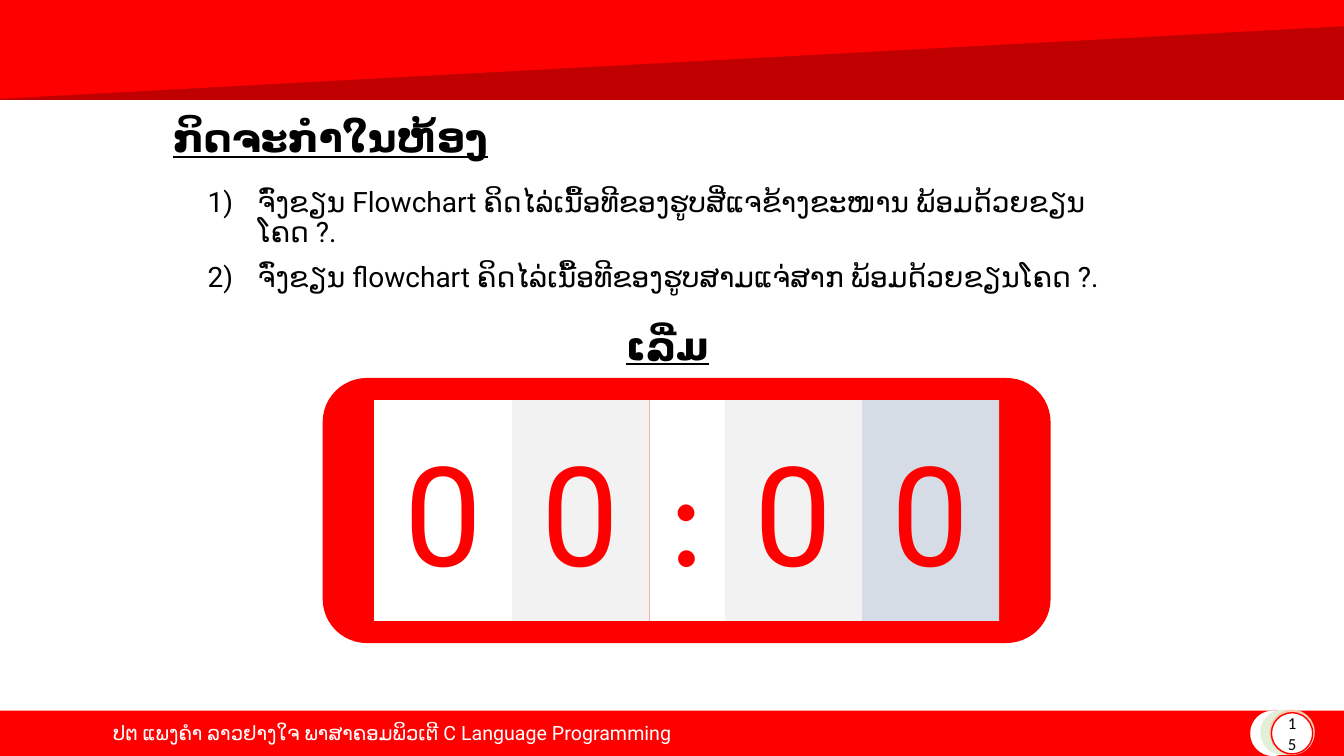
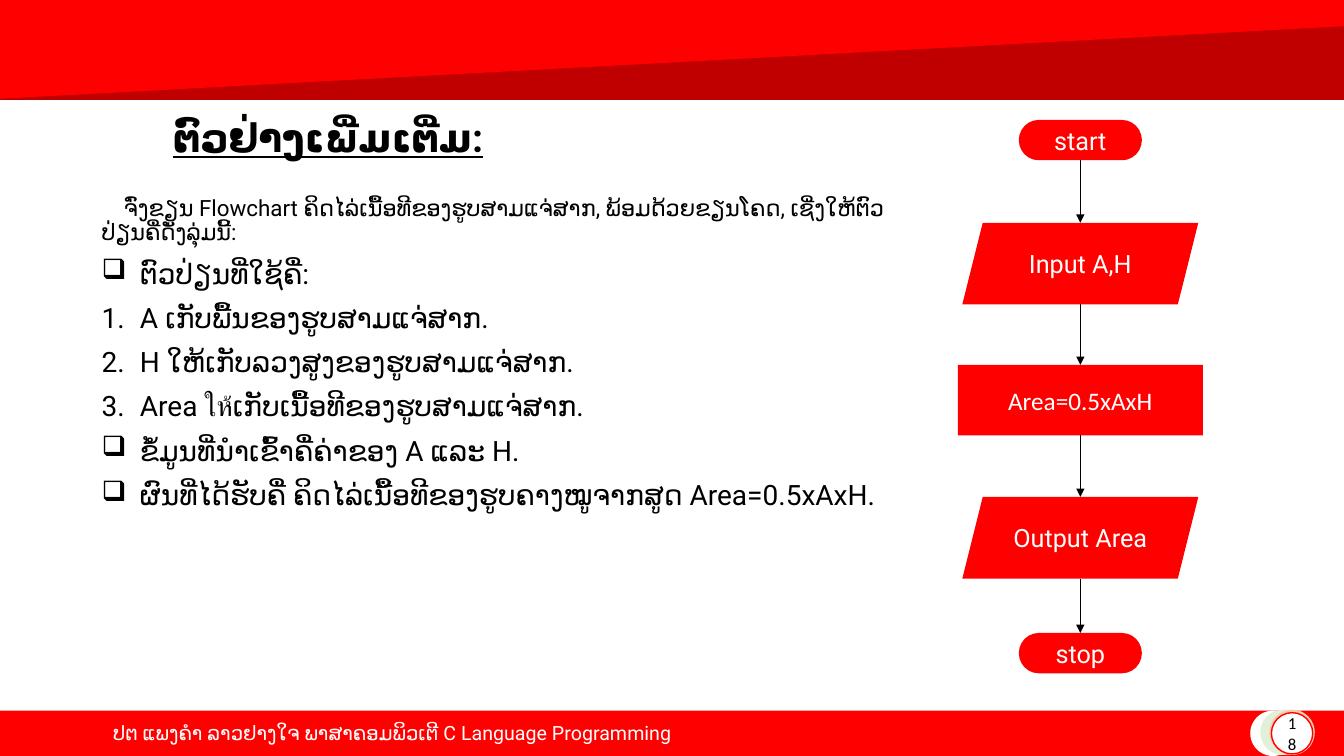
import pptx
import pptx.util
import pptx.dml.color
import pptx.enum.shapes
import pptx.enum.text
import pptx.oxml.ns
import lxml.etree

PX = 9144
W, H = 1333, 750
COLORS = {
    "red": "FF0000",
    "dark": "C00000",
    "white": "FFFFFF",
    "black": "000000",
    "green": "E2F0D9",
    "peach": "F8CBAD",
    "grey": "F2F2F2",
    "blue": "D6DCE5",
}
SHAPE = pptx.enum.shapes.MSO_SHAPE
ALIGN = pptx.enum.text.PP_ALIGN
ANCHOR = pptx.enum.text.MSO_ANCHOR
FOOTER = "ປຕ ແພງຄໍາ ລາວຢາງໃຈ ພາສາຄອມພິວເຕີ C Language Programming"


def px(*values):
    return [round(v * PX) for v in values]


def rgb(name):
    return pptx.dml.color.RGBColor.from_string(COLORS[name])


def child(parent, tag, **attrs):
    return lxml.etree.SubElement(parent, pptx.oxml.ns.qn(tag), attrs)


def write(tf, text, size=18, color="black", font="Roboto", bold=False, underline=False,
          align=ALIGN.LEFT, spacing=None, before=0, indent=(0, 0), bullet=None, first=True):
    p = tf.paragraphs[0] if first else tf.add_paragraph()
    p.alignment = align
    p.space_before = pptx.util.Pt(before)
    if spacing:
        p.line_spacing = spacing
    r = p.add_run()
    r.text = text
    f = r.font
    f.size, f.name, f.bold, f.underline = pptx.util.Pt(size), font, bold, underline
    f.color.rgb = rgb(color)
    child(r._r.get_or_add_rPr(), "a:cs", typeface=font)
    pPr = p._p.get_or_add_pPr()
    margin, hang = px(*indent)
    pPr.set("marL", str(margin))
    pPr.set("indent", str(hang))
    if bullet in ("arabicParenR", "arabicPeriod"):
        child(pPr, "a:buAutoNum", type=bullet)
    elif bullet:
        child(pPr, "a:buChar", char=bullet)


def paint(sp, fill, line=None):
    sp.shadow.inherit = False
    sp.fill.solid()
    sp.fill.fore_color.rgb = rgb(fill)
    if line:
        sp.line.color.rgb = rgb(line)
        sp.line.width = pptx.util.Pt(1)
    else:
        sp.line.fill.background()


def add_box(slide, kind, box, fill, line=None, text=None, **fmt):
    sp = slide.shapes.add_shape(kind, *px(*box))
    paint(sp, fill, line)
    if text:
        tf = sp.text_frame
        tf.word_wrap = True
        tf.vertical_anchor = ANCHOR.MIDDLE
        write(tf, text, align=ALIGN.CENTER, **fmt)
    return sp


def add_text(slide, box, anchor=ANCHOR.TOP):
    tf = slide.shapes.add_textbox(*px(*box)).text_frame
    tf.word_wrap = True
    tf.vertical_anchor = anchor
    return tf


def add_heading(slide, box, text, align=ALIGN.LEFT):
    tf = add_text(slide, box, ANCHOR.BOTTOM)
    write(tf, text, size=28, bold=True, underline=True, spacing=0.9, align=align)


def add_body(slide, box, items):
    tf = add_text(slide, box)
    for i, (text, fmt) in enumerate(items):
        write(tf, text, spacing=0.9, before=10, first=i == 0, **{"size": 20, **fmt})


def add_arrow(slide, x, top, bottom):
    c = slide.shapes.add_connector(pptx.enum.shapes.MSO_CONNECTOR.STRAIGHT,
                                   *px(x, top, x, bottom))
    c.line.color.rgb = rgb("black")
    c.line.width = pptx.util.Pt(0.5)
    child(c.line._get_or_add_ln(), "a:tailEnd", type="triangle")
    child(c._element.spPr, "a:effectLst")


def add_header(slide, box):
    x, y, w, h = box
    add_box(slide, SHAPE.RECTANGLE, box, "dark")
    fb = slide.shapes.build_freeform(x, y, scale=PX)
    fb.add_line_segments([(x + w, y), (x + w, y + 26), (x, y + h - 1)], close=True)
    paint(fb.convert_to_shape(), "red")


def add_footer(slide, box, number):
    x, y, w, h = box
    add_box(slide, SHAPE.RECTANGLE, box, "red")
    for left, top, fill in ((1240, 0, "white"), (1250, -1, "green"), (1259, -1, "peach")):
        add_box(slide, SHAPE.OVAL, (x + left, y + top, 45, 45), fill)
    add_box(slide, SHAPE.OVAL, (x + 1261, y + 2, 41, 41), "white", line="red",
            text=number, size=12, font="Calibri")
    tf = add_text(slide, (x + 83, y + 8, 612, 37))
    write(tf, FOOTER, size=14, color="white", align=ALIGN.CENTER, spacing=0.9)


def add_timer(slide, box):
    x, y, w, h = box
    add_box(slide, SHAPE.ROUNDED_RECTANGLE, box, "red")
    left = x + 51
    cells = (("0", 137, "white"), ("0", 136, "grey"), (":", 75, "white"),
             ("0", 136, "grey"), ("0", 136, "blue"))
    for text, width, fill in cells:
        add_box(slide, SHAPE.RECTANGLE, (left, y + 22, width, h - 44), fill, text=text,
                size=99, color="red", font="Calibri" if text == ":" else "Roboto")
        left += width


def add_flowchart(slide, box):
    x, y, w, h = box
    end = (SHAPE.FLOWCHART_TERMINATOR, 122, 40, "Roboto")
    data = (SHAPE.PARALLELOGRAM, 234, 81, "Roboto")
    process = (SHAPE.RECTANGLE, w, 70, "Calibri")
    steps = (("start", 0, end), ("Input A,H", 102, data), ("Area=0.5xAxH", 243, process),
             ("Output Area", 374, data), ("stop", h - 40, end))
    bottom = None
    for text, top, (kind, width, height, font) in steps:
        if bottom is not None:
            add_arrow(slide, x + w / 2, bottom, y + top)
        add_box(slide, kind, (x + (w - width) / 2, y + top, width, height), "red",
                text=text, color="white", font=font)
        bottom = y + top + height


def add_page(prs, title, number):
    slide = prs.slides.add_slide(prs.slide_layouts[6])
    add_header(slide, (0, 0, W, 99))
    add_heading(slide, (162, 100, 1000, 65), title)
    add_footer(slide, (0, 705, W, 45), number)
    return slide


def activity_slide(prs):
    slide = add_page(prs, "ກິດຈະກໍາໃນຫ້ອງ", "15")
    task = {"indent": (50, -50), "bullet": "arabicParenR"}
    add_body(slide, (196, 182, 951, 130), [
        ("ຈົ່ງຂຽນ Flowchart ຄິດໄລ່ເນື້ອທີຂອງຮູບສີ່ແຈຂ້າງຂະໜານ ພ້ອມດ້ວຍຂຽນໂຄດ ?.", task),
        ("ຈົ່ງຂຽນ flowchart ຄິດໄລ່ເນື້ອທີຂອງຮູບສາມແຈ່ສາກ ພ້ອມດ້ວຍຂຽນໂຄດ ?.", task),
    ])
    add_heading(slide, (162, 306, 1000, 65), "ເລີ່ມ", align=ALIGN.CENTER)
    add_timer(slide, (320, 375, 722, 263))


def example_slide(prs):
    slide = add_page(prs, "ຕົວຢ່າງເພີ່ມເຕີ່ມ:", "18")
    check = {"indent": (38, -38), "bullet": "❑"}
    count = {"indent": (38, -38), "bullet": "arabicPeriod"}
    add_body(slide, (91, 191, 835, 458), [
        ("ຈົ່ງຂຽນ Flowchart ຄິດໄລ່ເນື້ອທີຂອງຮູບສາມແຈ່ສາກ, ພ້ອມດ້ວຍຂຽນໂຄດ, "
         "ເຊີ່ງໃຫ້ຕົວປ່ຽນຄື່ດັ່ງລຸ່ມນີ້:", {"size": 16, "indent": (0, 22)}),
        ("ຕົວປ່ຽນທີ່ໃຊ້ຄື່:", check),
        ("A ເກັບພື້ນຂອງຮູບສາມແຈ່ສາກ.", count),
        ("H ໃຫ້ເກັບລວງສູງຂອງຮູບສາມແຈ່ສາກ.", count),
        ("Area ให้ເກັບເນື້ອທີຂອງຮູບສາມແຈ່ສາກ.", count),
        ("ຂໍ້ມູນທີ່ນໍາເຂົ້າຄື່ຄ່າຂອງ A ແລະ H.", check),
        ("ຜົນທີ່ໄດ້ຮັບຄື່ ຄິດໄລ່ເນື້ອທີຂອງຮູບຄາງໝູຈາກສູດ Area=0.5xAxH.", check),
    ])
    add_flowchart(slide, (950, 119, 243, 549))


def main():
    prs = pptx.Presentation()
    prs.slide_width, prs.slide_height = px(W, H)
    activity_slide(prs)
    example_slide(prs)
    prs.save("out.pptx")


if __name__ == "__main__":
    main()
